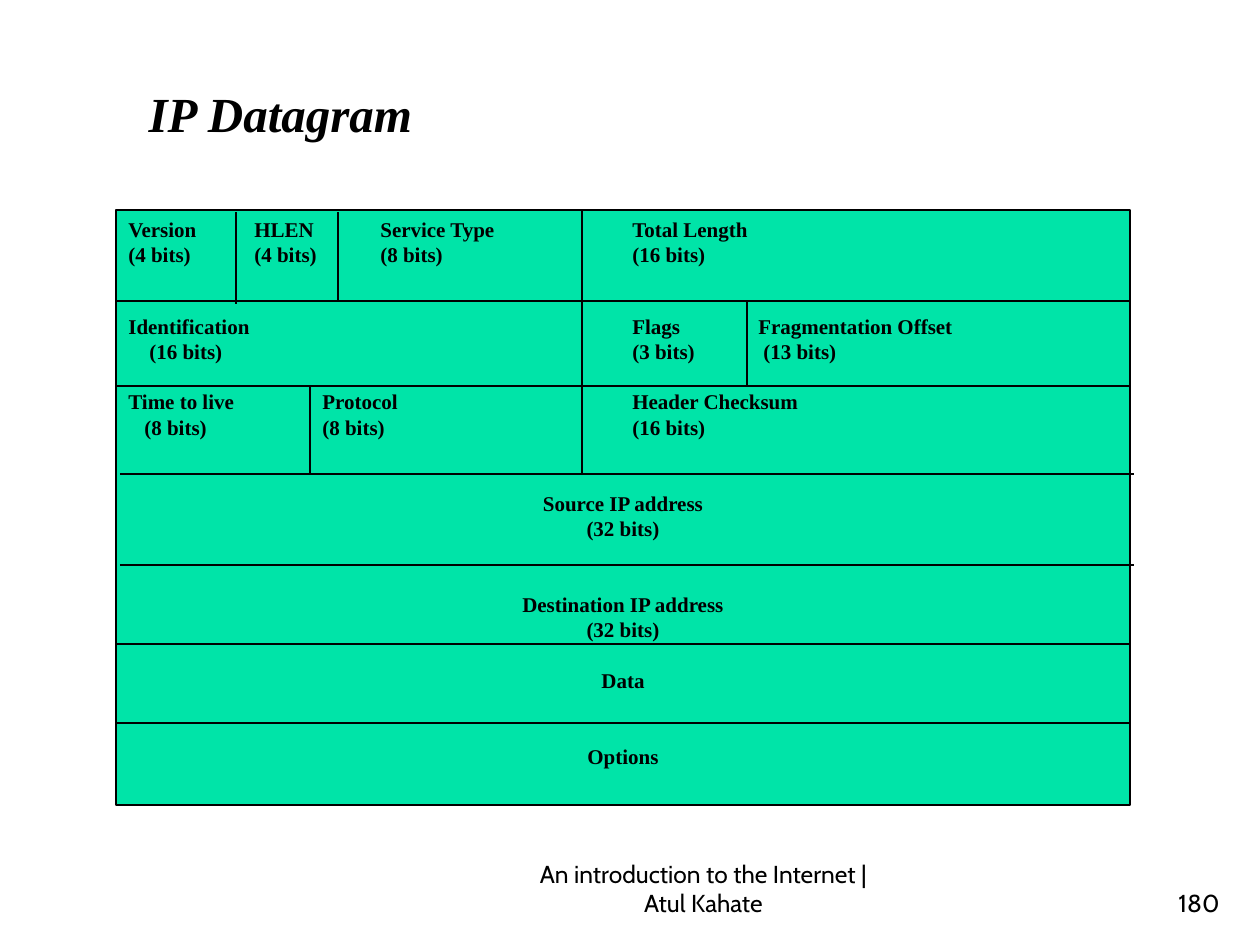
import pptx
import pptx.util
import pptx.dml.color
import pptx.enum.shapes
import pptx.enum.text
import lxml.etree
from dataclasses import dataclass

ALIGN = pptx.enum.text.PP_ALIGN
ANCHOR = pptx.enum.text.MSO_ANCHOR


@dataclass
class Theme:
    ink = pptx.dml.color.RGBColor.from_string("000000")
    fill = pptx.dml.color.RGBColor.from_string("00E4A8")
    serif = "Times New Roman"
    sans = "Cabin"
    title = pptx.util.Pt(28)
    field = pptx.util.Pt(12)
    foot = pptx.util.Pt(14)
    line = pptx.util.Pt(0.75)


def px(count):
    return pptx.util.Emu(round(count * 914400 / 126))


def style(par, face, size, bold=False, slant=False):
    for run in par.runs:
        font = run.font
        font.name, font.size = face, size
        font.bold, font.italic = bold, slant
        font.color.rgb = Theme.ink


deck = pptx.Presentation()
deck.slide_width, deck.slide_height = px(1260), px(945)
slide = deck.slides.add_slide(deck.slide_layouts[5])

# Title
title = slide.shapes.title
title.left, title.top, title.width, title.height = px(136), px(77), px(494), px(131)
frame = title.text_frame
frame.text = "IP Datagram"
frame.vertical_anchor = ANCHOR.TOP
frame.paragraphs[0].alignment = ALIGN.LEFT
style(frame.paragraphs[0], Theme.serif, Theme.title, True, True)

# Footer and page number
FEET = [
    (504, 399, ALIGN.CENTER, "An introduction to the Internet | Atul Kahate"),
    (970, 262, ALIGN.RIGHT, "180"),
]
for left, width, align, text in FEET:
    frame = slide.shapes.add_textbox(px(left), px(861), px(width), px(63)).text_frame
    frame.word_wrap = True
    frame.vertical_anchor = ANCHOR.BOTTOM
    frame.text = text
    frame.paragraphs[0].alignment = align
    style(frame.paragraphs[0], Theme.sans, Theme.foot)

# Datagram body: space before, tab stops (none means centred), text
LEFT, TOP, WIDTH, HEIGHT = 116, 210, 1014, 595
ROWS = [
    (0, [126, 252, 504], "Version\tHLEN\tService Type\tTotal Length"),
    (0, [126, 252, 504], "(4 bits)\t(4 bits)\t(8 bits)\t(16 bits)"),
    (47, [504, 630], "Identification\tFlags\tFragmentation Offset"),
    (0, [21, 504, 635], "\t(16 bits)\t(3 bits)\t(13 bits)"),
    (25, [194, 504], "Time to live\tProtocol\tHeader Checksum"),
    (0, [16, 194, 504], "\t(8 bits)\t(8 bits)\t(16 bits)"),
    (51, [], "Source IP address"),
    (0, [], "(32 bits)"),
    (51, [], "Destination IP address"),
    (0, [], "(32 bits)"),
    (25, [], "Data"),
    (51, [], "Options"),
]
group = slide.shapes.add_group_shape()
body = group.shapes.add_shape(
    pptx.enum.shapes.MSO_SHAPE.RECTANGLE, px(LEFT), px(TOP), px(WIDTH), px(HEIGHT))
body.shadow.inherit = False
body.fill.solid()
body.fill.fore_color.rgb = Theme.fill
body.line.color.rgb = Theme.ink
body.line.width = Theme.line
frame = body.text_frame
frame.word_wrap = True
frame.vertical_anchor = ANCHOR.TOP
for i, (gap, stops, text) in enumerate(ROWS):
    par = frame.add_paragraph() if i else frame.paragraphs[0]
    par.text = text
    par.alignment = ALIGN.LEFT if stops else ALIGN.CENTER
    if stops:
        tabs = lxml.etree.SubElement(
            par._p.get_or_add_pPr(), pptx.oxml.ns.qn("a:tabLst"))
        for stop in stops:
            lxml.etree.SubElement(
                tabs, pptx.oxml.ns.qn("a:tab"), pos=str(px(stop)), algn="l")
    if gap:
        par.space_before = px(gap)
    style(par, Theme.serif, Theme.field, True)

# Rules between rows (left, y) and between fields (x, top, bottom)
ACROSS = [(116, 301), (117, 386), (120, 474), (120, 565), (117, 644), (116, 723)]
DOWN = [(236, 212, 304), (338, 212, 301), (582, 210, 474),
        (747, 301, 386), (310, 387, 475)]
rules = [(x, y, x + WIDTH, y) for x, y in ACROSS]
rules += [(x, top, x, end) for x, top, end in DOWN]
for ends in rules:
    rule = group.shapes.add_connector(
        pptx.enum.shapes.MSO_CONNECTOR.STRAIGHT, *map(px, ends))
    rule.line.color.rgb = Theme.ink
    rule.line.width = Theme.line
    lxml.etree.SubElement(rule._element.spPr, pptx.oxml.ns.qn("a:effectLst"))

deck.save("out.pptx")
